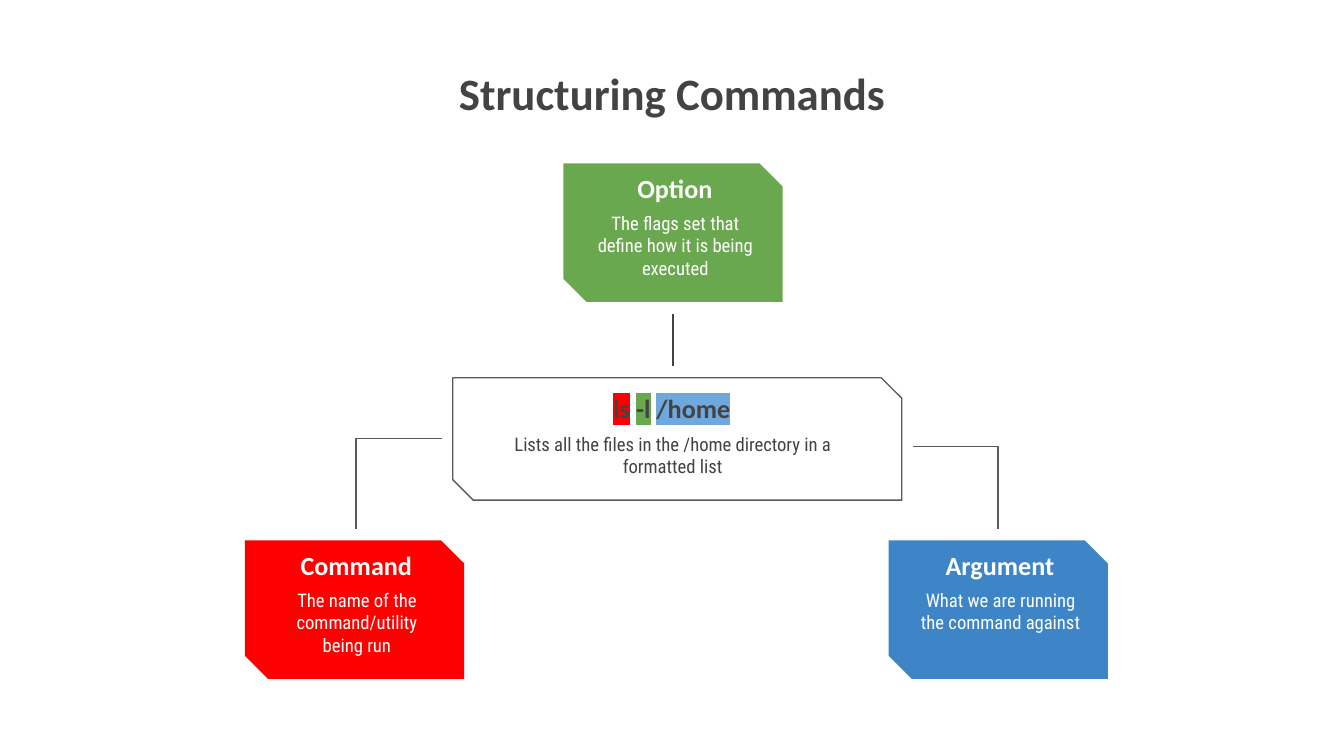
from dataclasses import dataclass

from lxml import etree
from pptx import Presentation
from pptx.dml.color import RGBColor
from pptx.enum.shapes import MSO_CONNECTOR as Connector
from pptx.enum.shapes import MSO_SHAPE as Shape
from pptx.enum.text import MSO_ANCHOR as Anchor
from pptx.enum.text import PP_ALIGN as Align
from pptx.oxml.ns import qn
from pptx.util import Pt


@dataclass(frozen=True)
class Theme:
    red: str = "FF0000"
    green: str = "6AA84F"
    blue: str = "3D85C6"
    light_blue: str = "6FA8DC"
    dark: str = "434343"
    outline: str = "595959"
    white: str = "FFFFFF"
    heading_font: str = "Calibri"
    body_font: str = "Roboto Condensed"
    title_size: float = 24
    heading_size: float = 14
    body_size: float = 10
    line_width: float = 0.75


THEME = Theme()
CARD_SIZE = (117.5, 74.2)
HEADING_SIZE = (112.3, 31)
CARDS = [
    (131.2, 289.5, THEME.red, "Command", "The name of the command/utility being run"),
    (476, 289.5, THEME.blue, "Argument", "What we are running the command against"),
    (301.8, 87.6, THEME.green, "Option",
     "The flags set that define how it is being executed"),
]
COMMAND_PARTS = [("ls", THEME.red), (" ", None), ("-l", THEME.green),
                 (" ", None), ("/home", THEME.light_blue)]


def style(name, size, bold):
    return {"name": name, "size": Pt(size), "bold": bold}


TITLE = style(THEME.heading_font, THEME.title_size, True)
HEADING = style(THEME.heading_font, THEME.heading_size, True)
BODY = style(THEME.body_font, THEME.body_size, False)


def add_text(slide, box, parts, font_format, color, anchor=Anchor.TOP):
    """Centred text; parts are (text, highlight colour or None)."""
    frame = slide.shapes.add_textbox(*map(Pt, box)).text_frame
    inset = Pt(7.2)
    frame_format = {"word_wrap": True, "vertical_anchor": anchor,
                    "margin_left": inset, "margin_right": inset,
                    "margin_top": inset, "margin_bottom": inset}
    for name, value in frame_format.items():
        setattr(frame, name, value)
    paragraph = frame.paragraphs[0]
    paragraph.alignment = Align.CENTER
    for text, highlight in parts:
        run = paragraph.add_run()
        run.text = text
        for name, value in font_format.items():
            setattr(run.font, name, value)
        run.font.color.rgb = RGBColor.from_string(color)
        if highlight:
            mark = etree.Element(qn("a:highlight"))
            etree.SubElement(mark, qn("a:srgbClr"), val=highlight)
            run.font._element.find(qn("a:solidFill")).addnext(mark)


def add_snipped_box(slide, box, fill=None, outline=None):
    shape = slide.shapes.add_shape(Shape.SNIP_2_DIAG_RECTANGLE, *map(Pt, box))
    shape.shadow.inherit = False
    shape.adjustments[0] = 0
    shape.adjustments[1] = 0.167
    if fill:
        shape.fill.solid()
        shape.fill.fore_color.rgb = RGBColor.from_string(fill)
    else:
        shape.fill.background()
    if outline:
        shape.line.color.rgb = RGBColor.from_string(outline)
        shape.line.width = Pt(THEME.line_width)
    else:
        shape.line.fill.background()


def add_card(slide, box, color, heading, body):
    left, top = box[:2]
    add_snipped_box(slide, box, fill=color)
    add_text(slide, (left + 3.6, top - 2.2, *HEADING_SIZE), [(heading, None)],
             HEADING, THEME.white, Anchor.BOTTOM)
    add_text(slide, (left + 9.2, top + 18.7, 101.5, 49), [(body, None)],
             BODY, THEME.white)


def add_example(slide, box):
    left, top = box[:2]
    add_snipped_box(slide, box, outline=THEME.outline)
    add_text(slide, (left + 61.2, top + 0.7, *HEADING_SIZE), COMMAND_PARTS,
             HEADING, THEME.dark, Anchor.BOTTOM)
    add_text(slide, (left + 8.6, top + 22.3, 218.2, 64.8),
             [("Lists all the files in the /home directory in a formatted list", None)],
             BODY, THEME.dark)


def add_line(slide, kind, start, end, color):
    """Line; an elbow runs level first and turns down at its far end."""
    line = slide.shapes.add_connector(kind, *map(Pt, start + end))
    line.line.color.rgb = RGBColor.from_string(color)
    line.line.width = Pt(THEME.line_width)
    properties = line._element.spPr
    etree.SubElement(properties, qn("a:effectLst"))
    if kind == Connector.ELBOW:
        geometry = properties.find(qn("a:prstGeom"))
        guides = geometry.find(qn("a:avLst"))
        if guides is None:
            guides = etree.SubElement(geometry, qn("a:avLst"))
        etree.SubElement(guides, qn("a:gd"), name="adj1", fmla="val 100000")


def main():
    presentation = Presentation()
    presentation.slide_width, presentation.slide_height = Pt(720), Pt(405)
    slide = presentation.slides.add_slide(presentation.slide_layouts[6])
    add_text(slide, (154.8, 28.1, 410.4, 74.2), [("Structuring Commands", None)],
             TITLE, THEME.dark)
    for left, top, *content in CARDS:
        add_card(slide, (left, top, *CARD_SIZE), *content)
    add_example(slide, (242.6, 202.4, 240.5, 65.6))
    add_line(slide, Connector.STRAIGHT, (360.5, 168), (360.5, 196.3), THEME.dark)
    add_line(slide, Connector.ELBOW, (237, 235), (190.7, 283.4), THEME.outline)
    add_line(slide, Connector.ELBOW, (489, 239.2), (534.6, 283.4), THEME.outline)
    presentation.save("out.pptx")


if __name__ == "__main__":
    main()
